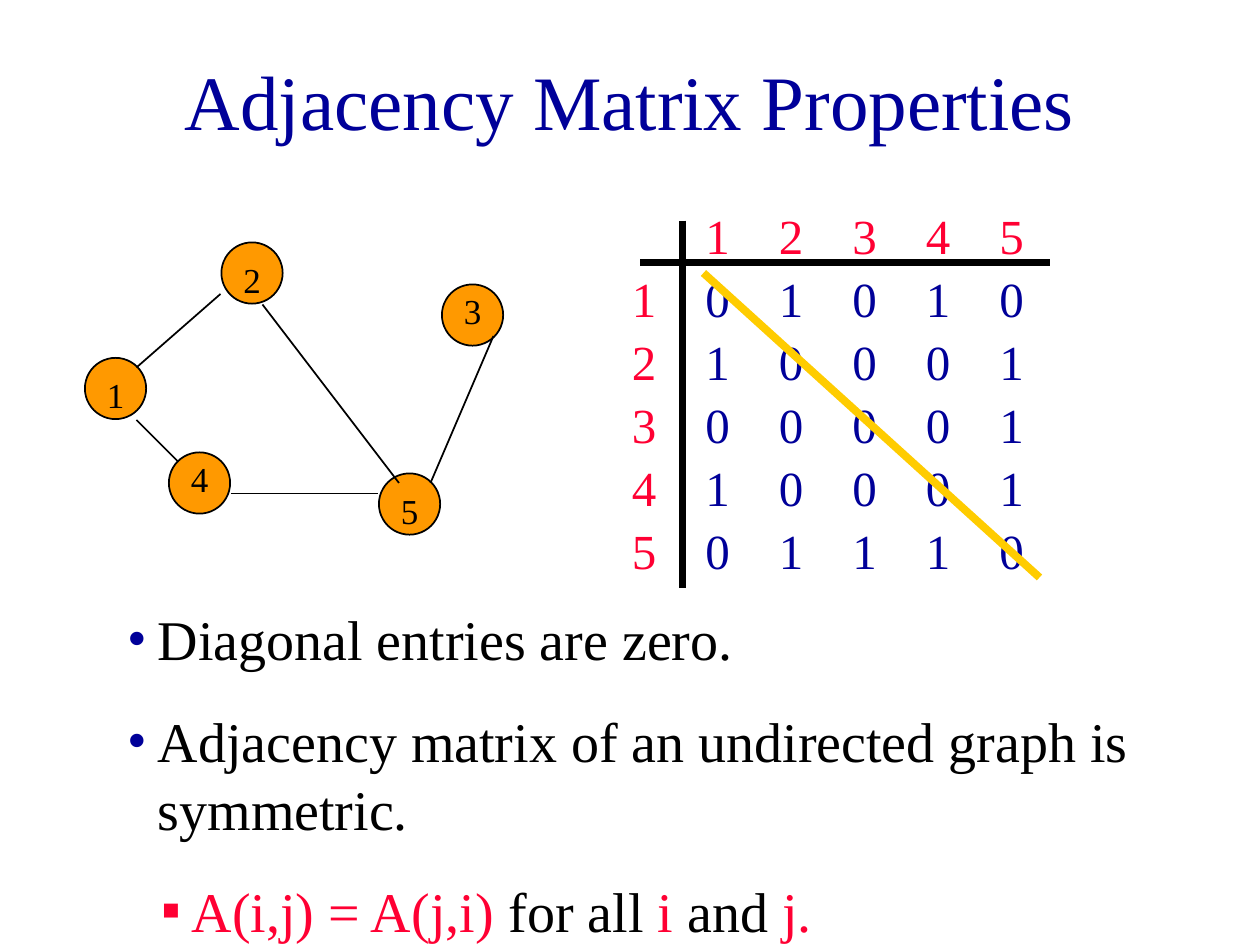
from dataclasses import dataclass

from lxml.etree import SubElement
from pptx import Presentation
from pptx.dml.color import RGBColor
from pptx.enum.shapes import MSO_CONNECTOR, MSO_SHAPE
from pptx.enum.text import MSO_ANCHOR, MSO_AUTO_SIZE, PP_ALIGN
from pptx.oxml.ns import qn
from pptx.util import Pt


@dataclass(frozen=True)
class Theme:
    font: str = "Times New Roman"
    navy: str = "000099"
    red: str = "FF0033"
    black: str = "000000"
    orange: str = "FF9900"
    gold: str = "FFCC00"
    title_size: float = 44
    body_size: float = 32
    matrix_size: float = 28
    node_size: float = 20


class SlideBuilder:
    def __init__(self, slide, theme):
        self.slide = slide
        self.theme = theme

    def style_run(self, run, size, color):
        run.font.name = self.theme.font
        run.font.size = Pt(size)
        run.font.color.rgb = RGBColor.from_string(color)

    def text_frame(self, left, top, width, height):
        box = self.slide.shapes.add_textbox(Pt(left), Pt(top), Pt(width), Pt(height))
        box.text_frame.word_wrap = True
        return box.text_frame

    def title(self, text, left, top, width, height):
        frame = self.text_frame(left, top, width, height)
        frame.vertical_anchor = MSO_ANCHOR.MIDDLE
        frame.text = text
        frame.paragraphs[0].alignment = PP_ALIGN.CENTER
        self.style_run(frame.paragraphs[0].runs[0], self.theme.title_size, self.theme.navy)

    def label(self, text, left, top, width, height, size, color):
        frame = self.text_frame(left, top, width, height)
        frame.auto_size = MSO_AUTO_SIZE.SHAPE_TO_FIT_TEXT
        frame.text = text
        paragraph = frame.paragraphs[0]
        paragraph.space_before = Pt(size * 0.625)
        self.style_run(paragraph.runs[0], size, color)

    def node(self, left, top, diameter):
        circle = self.slide.shapes.add_shape(
            MSO_SHAPE.OVAL, Pt(left), Pt(top), Pt(diameter), Pt(diameter))
        circle.shadow.inherit = False
        circle.fill.solid()
        circle.fill.fore_color.rgb = RGBColor.from_string(self.theme.orange)
        circle.line.color.rgb = RGBColor.from_string(self.theme.black)
        circle.line.width = Pt(1)

    def line(self, x1, y1, x2, y2, width, color):
        line = self.slide.shapes.add_connector(
            MSO_CONNECTOR.STRAIGHT, Pt(x1), Pt(y1), Pt(x2), Pt(y2))
        line.line.color.rgb = RGBColor.from_string(color)
        line.line.width = Pt(width)
        SubElement(line._element.spPr, qn("a:effectLst"))

    def bullets(self, items, left, top, width, height):
        frame = self.text_frame(left, top, width, height)
        frame.auto_size = MSO_AUTO_SIZE.SHAPE_TO_FIT_TEXT
        for index, (level, margin, hang, mark, mark_color, parts) in enumerate(items):
            paragraph = frame.add_paragraph() if index else frame.paragraphs[0]
            paragraph.level = level
            paragraph.space_before = Pt(20)
            properties = paragraph._p.get_or_add_pPr()
            properties.set("marL", str(Pt(margin)))
            properties.set("indent", str(-Pt(hang)))
            bullet_color = SubElement(properties, qn("a:buClr"))
            SubElement(bullet_color, qn("a:srgbClr"), val=mark_color)
            SubElement(properties, qn("a:buFont"), typeface=self.theme.font)
            SubElement(properties, qn("a:buChar"), char=mark)
            for text, color in parts:
                run = paragraph.add_run()
                run.text = text
                self.style_run(run, self.theme.body_size, color)


def main():
    deck = Presentation()
    deck.slide_width, deck.slide_height = Pt(720), Pt(540)
    theme = Theme()
    builder = SlideBuilder(deck.slides.add_slide(deck.slide_layouts[6]), theme)

    builder.title("Adjacency Matrix Properties", 54, 12, 612, 90)

    nodes = [("1", 48.5, 204.5, 5.5), ("2", 126.5, 138.5, 5.5), ("3", 252.5, 162.5, -0.5),
             ("4", 96.5, 258.5, -0.5), ("5", 216.5, 270.5, 5.5)]
    edges = [(126, 168, 78, 210), (150, 174, 228, 276), (78, 240, 102, 264),
             (282, 192, 246, 276), (132, 282, 216, 282)]
    for _, left, top, _ in nodes:
        builder.node(left, top, 35)
    for edge in edges:
        builder.line(*edge, 1, theme.black)
    for name, left, top, drop in nodes:
        builder.label(name, left + 5.5, top + drop, 18, 31, theme.node_size, theme.black)

    matrix = ["01010", "10001", "00001", "10001", "01110"]
    first_column, first_row, column_step, row_step = 396, 150, 42, 36
    builder.line(366, 150, 600, 150, 4, theme.black)
    builder.line(390, 126, 390, 336, 4, theme.black)
    for row, entries in enumerate(matrix):
        vertex = str(row + 1)
        y = first_row + row * row_step
        builder.label(vertex, first_column + row * column_step, first_row - row_step,
                      36, 41, theme.matrix_size, theme.red)
        builder.label(vertex, first_column - column_step, y,
                      36, 41, theme.matrix_size, theme.red)
        for column, entry in enumerate(entries):
            builder.label(entry, first_column + column * column_step, y,
                          24, 41, theme.matrix_size, theme.navy)
    builder.line(402, 156, 594, 330, 4.5, theme.gold)

    builder.bullets([
        (0, 17, 17, "•", theme.navy, [("Diagonal entries are zero.", theme.black)]),
        (0, 17, 17, "•", theme.navy,
         [("Adjacency matrix of an undirected graph is symmetric.", theme.black)]),
        (1, 36.5, 17.5, "▪", theme.red,
         [("A(i,j) = A(j,i) ", theme.red), ("for all", theme.black), (" i ", theme.red),
          ("and ", theme.black), ("j.", theme.red)]),
    ], 66, 342, 636, 201)

    deck.save("out.pptx")


if __name__ == "__main__":
    main()
